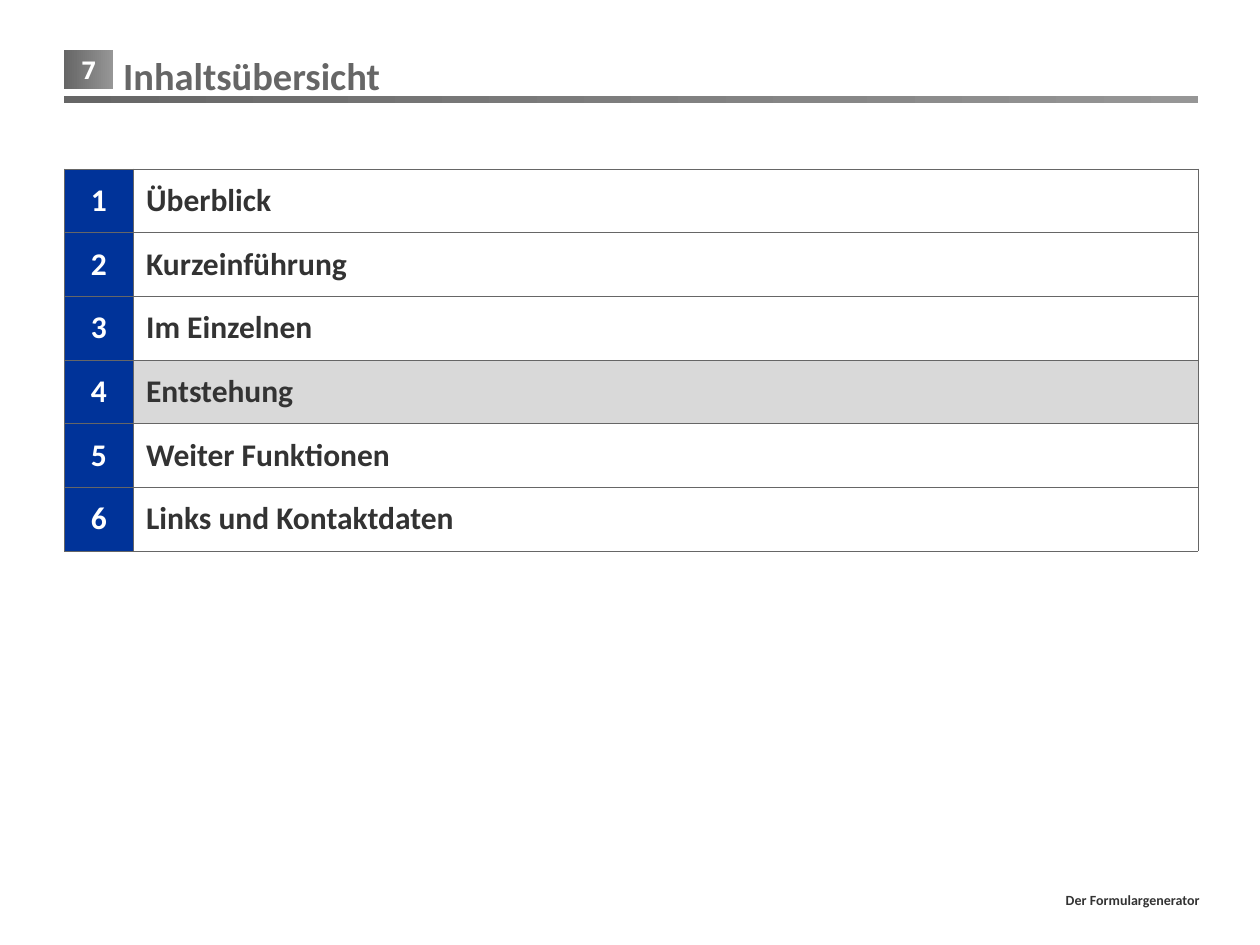
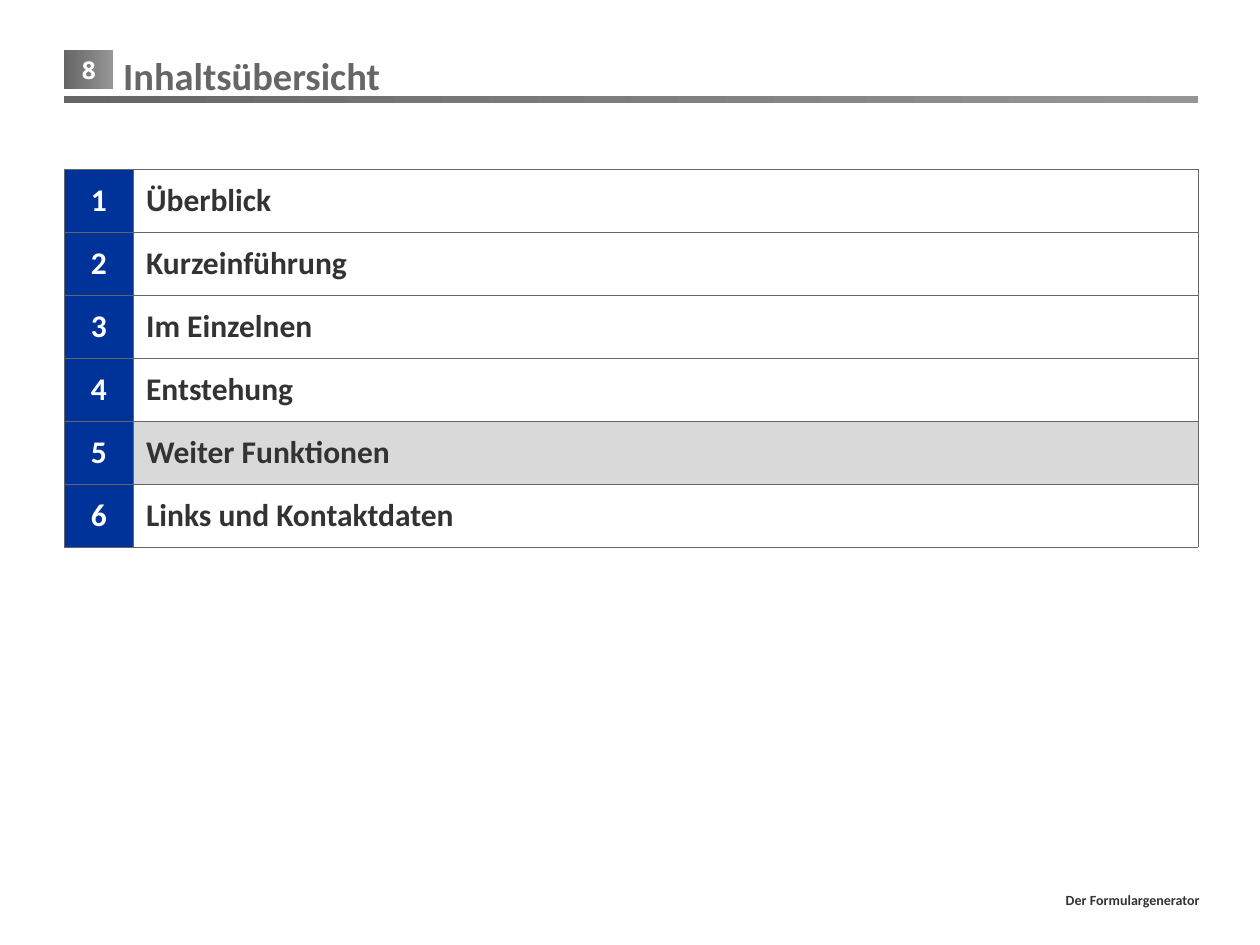
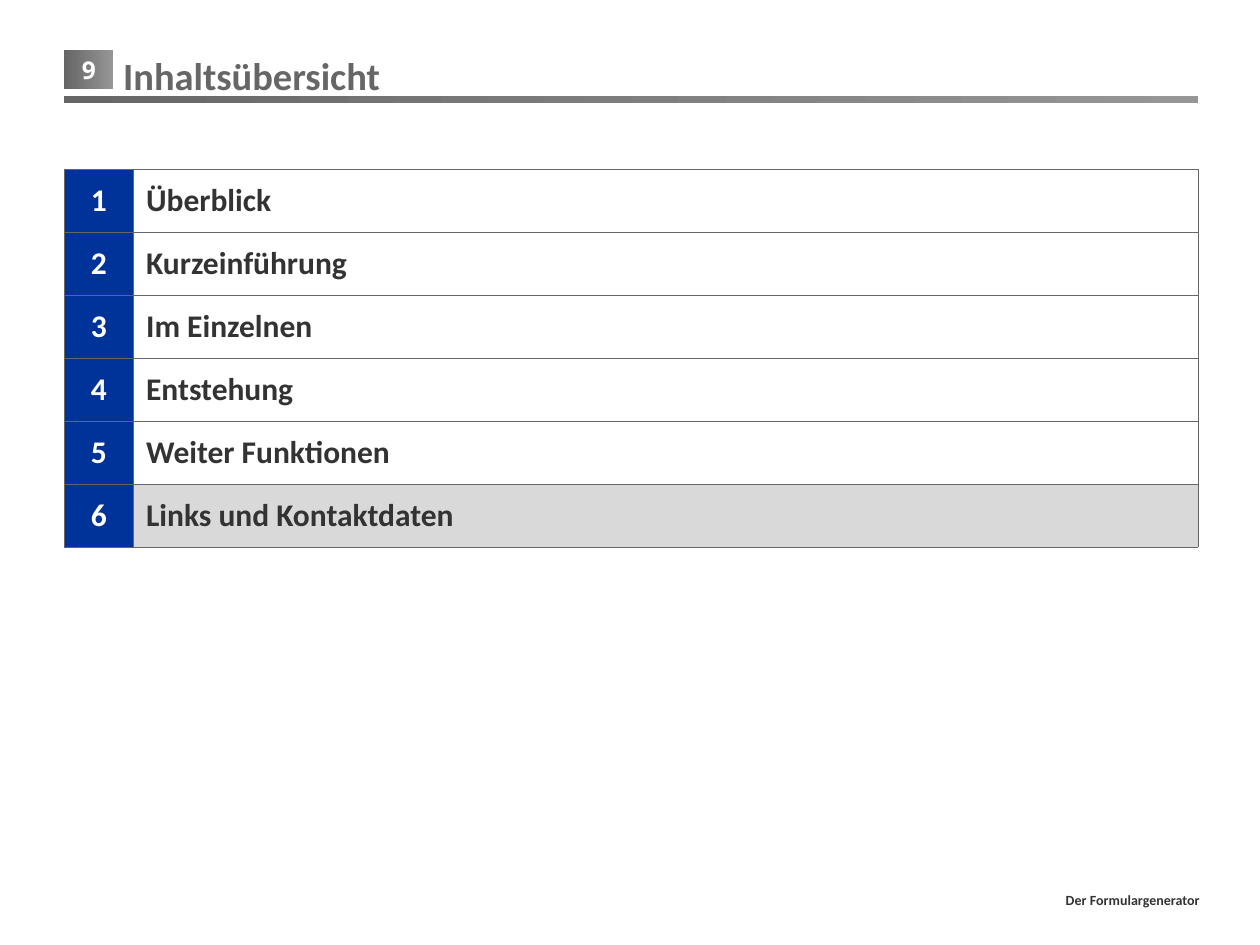
import dataclasses

import lxml.etree
import pptx
import pptx.dml.color
import pptx.enum.shapes
import pptx.enum.text
import pptx.oxml.ns
import pptx.util

Inches = pptx.util.Inches
Pt = pptx.util.Pt
Align = pptx.enum.text.PP_ALIGN
Shape = pptx.enum.shapes.MSO_SHAPE


@dataclasses.dataclass(frozen=True)
class Theme:
    font: str = "Calibri"
    badge_font: str = "Open Sans"
    text: str = "333333"
    grey: str = "666666"
    light_grey: str = "969696"
    blue: str = "003399"
    white: str = "FFFFFF"
    highlight: str = "D9D9D9"
    title_size: float = 22
    table_size: float = 18
    badge_size: float = 14
    footer_size: float = 8
    border_width: float = 0.25
    left: float = 0.51
    width: float = 9


THEME = Theme()
TITLE = "Inhaltsübersicht"
FOOTER = "Der Formulargenerator"
CHAPTERS = [
    "Überblick",
    "Kurzeinführung",
    "Im Einzelnen",
    "Entstehung",
    "Weiter Funktionen",
    "Links und Kontaktdaten",
]
FIRST_PAGE = 7
HIGHLIGHTED_CHAPTERS = [4, 5, 6]
NUMBER_WIDTH = 0.55
ROW_HEIGHT = 0.5


def rgb(value):
    return pptx.dml.color.RGBColor.from_string(value)


def write_text(frame, text, size, color=THEME.text, font=THEME.font, align=Align.LEFT):
    frame.word_wrap = True
    paragraph = frame.paragraphs[0]
    paragraph.alignment = align
    run = paragraph.add_run()
    run.text = text
    run.font.size = Pt(size)
    run.font.name = font
    run.font.bold = True
    run.font.color.rgb = rgb(color)


def add_box(slide, kind, left, top, width, height):
    shape = slide.shapes.add_shape(
        kind, Inches(left), Inches(top), Inches(width), Inches(height))
    shape.shadow.inherit = False
    shape.fill.background()
    shape.line.fill.background()
    frame = shape.text_frame
    frame.vertical_anchor = pptx.enum.text.MSO_ANCHOR.MIDDLE
    frame.margin_top = frame.margin_bottom = 0
    return shape


def add_gradient_bar(slide, top, width, height):
    shape = add_box(slide, Shape.RECTANGLE, THEME.left, top, width, height)
    shape.fill.gradient()
    shape.fill.gradient_angle = 0
    for stop, color in zip(shape.fill.gradient_stops, (THEME.grey, THEME.light_grey)):
        stop.color.rgb = rgb(color)
    return shape


def add_frame(slide, page):
    badge = add_gradient_bar(slide, 0.4, 0.39, 0.31)
    write_text(badge.text_frame, str(page), THEME.badge_size, color=THEME.white,
               font=THEME.badge_font, align=Align.CENTER)
    add_gradient_bar(slide, 0.76, THEME.width, 0.06)
    footer = add_box(slide, Shape.ROUNDED_RECTANGLE, 1.15, 6.96, 8.49, 0.36)
    write_text(footer.text_frame, FOOTER, THEME.footer_size, align=Align.RIGHT)


def add_title(slide, text):
    box = slide.shapes.add_textbox(Inches(0.88), Inches(0.36), Inches(8.67), Inches(0.47))
    box.text_frame.vertical_anchor = pptx.enum.text.MSO_ANCHOR.MIDDLE
    write_text(box.text_frame, text, THEME.title_size, color=THEME.grey)


def set_borders(cell):
    properties = cell._tc.get_or_add_tcPr()
    qn = pptx.oxml.ns.qn
    for index, side in enumerate(("lnL", "lnR", "lnT", "lnB")):
        line = lxml.etree.Element(qn("a:" + side), w=str(Pt(THEME.border_width)))
        fill = lxml.etree.SubElement(line, qn("a:solidFill"))
        lxml.etree.SubElement(fill, qn("a:srgbClr"), val=THEME.grey)
        properties.insert(index, line)


def fill_cell(cell, text, fill, **text_format):
    cell.margin_left = cell.margin_right = Inches(0.1)
    cell.margin_top = cell.margin_bottom = Inches(0.1)
    cell.fill.solid()
    cell.fill.fore_color.rgb = rgb(fill)
    set_borders(cell)
    write_text(cell.text_frame, text, THEME.table_size, **text_format)


def add_chapter_table(slide, highlighted):
    table = slide.shapes.add_table(
        len(CHAPTERS), 2, Inches(THEME.left), Inches(1.34),
        Inches(THEME.width), Inches(ROW_HEIGHT * len(CHAPTERS))).table
    table.first_row = False
    table.horz_banding = False
    table.columns[0].width = Inches(NUMBER_WIDTH)
    table.columns[1].width = Inches(THEME.width - NUMBER_WIDTH)
    for number, chapter in enumerate(CHAPTERS, start=1):
        row = number - 1
        fill = THEME.highlight if number == highlighted else THEME.white
        fill_cell(table.cell(row, 0), str(number), THEME.blue,
                  color=THEME.white, align=Align.CENTER)
        fill_cell(table.cell(row, 1), chapter, fill)


def main():
    presentation = pptx.Presentation()
    presentation.slide_width = Inches(10)
    presentation.slide_height = Inches(7.5)
    for page, highlighted in enumerate(HIGHLIGHTED_CHAPTERS, start=FIRST_PAGE):
        slide = presentation.slides.add_slide(presentation.slide_layouts[6])
        add_frame(slide, page)
        add_chapter_table(slide, highlighted)
        add_title(slide, TITLE)
    presentation.save("out.pptx")


main()
